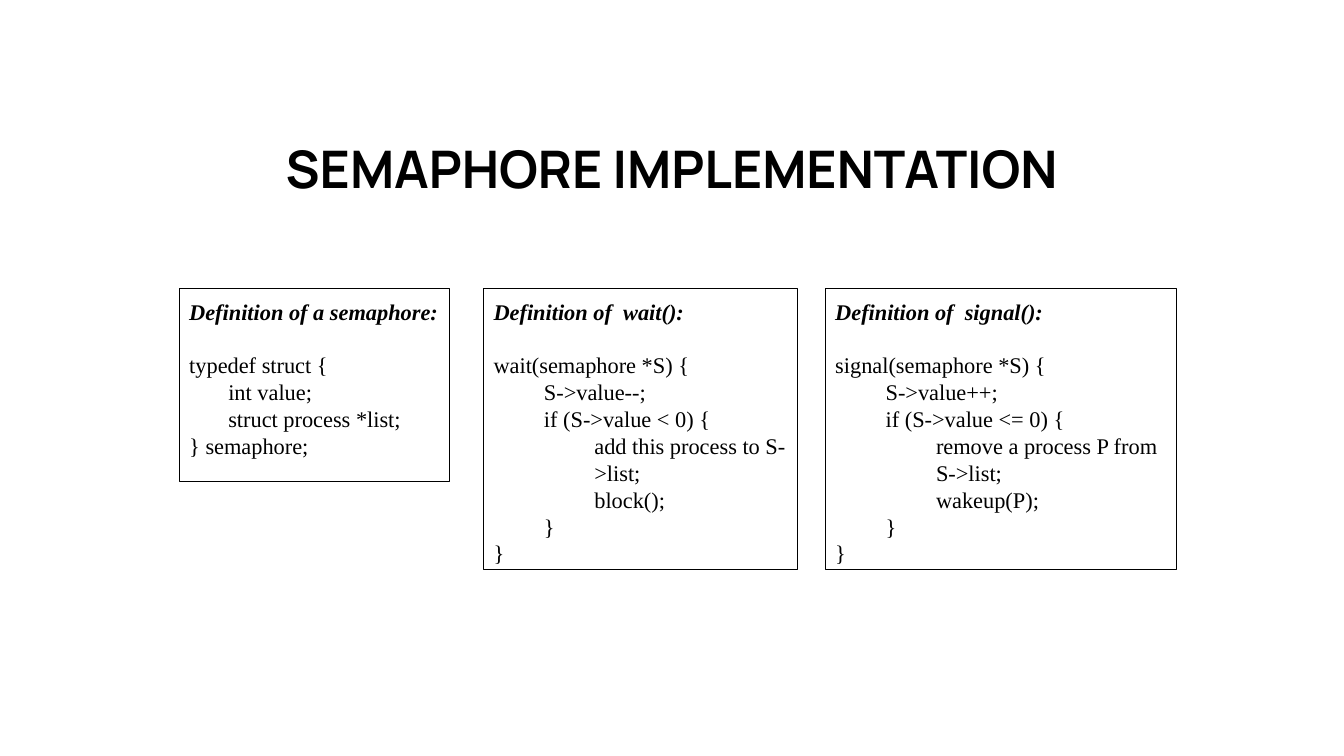
from pptx import Presentation
from pptx.dml.color import RGBColor
from pptx.enum.text import MSO_ANCHOR, MSO_AUTO_SIZE, PP_ALIGN
from pptx.util import Cm, Pt

BLACK, WHITE = "000000", "FFFFFF"
SERIF = "Times New Roman"
INDENT = 1.27

PANELS = [
    (4.52, 6.81, 4.88, "Definition of a semaphore:", [
        (0, "typedef struct {"),
        (0, "       int value;"),
        (0, "       struct process *list;"),
        (0, "} semaphore;"),
    ]),
    (12.19, 7.92, 7.09, "Definition of  wait():", [
        (0, "wait(semaphore *S) {"),
        (1, "S->value--;"),
        (1, "if (S->value < 0) {"),
        (2, "add this process to S->list;"),
        (2, "block();"),
        (1, "}"),
        (0, "}"),
    ]),
    (20.8, 8.86, 7.09, "Definition of  signal():", [
        (0, "signal(semaphore *S) {"),
        (1, "S->value++;"),
        (1, "if (S->value <= 0) {"),
        (2, "remove a process P from S->list;"),
        (2, "wakeup(P);"),
        (1, "}"),
        (0, "}"),
    ]),
]


def color(value):
    return RGBColor.from_string(value)


def set_frame(tf, inset, anchor):
    tf.word_wrap = True
    tf.auto_size = MSO_AUTO_SIZE.NONE
    tf.vertical_anchor = anchor
    tf.margin_left = tf.margin_right = Cm(inset)
    tf.margin_top = tf.margin_bottom = Cm(inset)


def add_text(p, text, font=SERIF, size=16, bold=False, italic=False,
             align=PP_ALIGN.LEFT, level=0, before=0, spacing=None):
    p.alignment = align
    p.space_before = Pt(before)
    if spacing:
        p.line_spacing = spacing
    if level:
        pPr = p._p.get_or_add_pPr()
        pPr.set("marL", str(Cm(level * INDENT)))
        pPr.set("indent", "0")
    r = p.add_run()
    r.text = text
    r.font.name = font
    r.font.size = Pt(size)
    r.font.bold = bold
    r.font.italic = italic
    r.font.color.rgb = color(BLACK)


def add_title(s, left, top, width, height, text):
    sp = s.shapes.title
    sp.left, sp.top, sp.width, sp.height = map(Cm, (left, top, width, height))
    sp.fill.solid()
    sp.fill.fore_color.rgb = color(WHITE)
    set_frame(sp.text_frame, 0.51, MSO_ANCHOR.MIDDLE)
    add_text(sp.text_frame.paragraphs[0], text, font="Manrope", size=37,
             bold=True, align=PP_ALIGN.CENTER, spacing=0.9)


def add_panel(s, left, top, width, height, heading, code):
    sp = s.shapes.add_textbox(*map(Cm, (left, top, width, height)))
    sp.line.color.rgb = color(BLACK)
    sp.line.width = Pt(0.75)
    tf = sp.text_frame
    set_frame(tf, 0.25, MSO_ANCHOR.TOP)
    add_text(tf.paragraphs[0], heading, bold=True, italic=True)
    for i, (level, line) in enumerate(code):
        add_text(tf.add_paragraph(), line, level=level,
                 before=0 if i else 19)


def main():
    prs = Presentation()
    prs.slide_width, prs.slide_height = Cm(33.87), Cm(19.05)
    s = prs.slides.add_slide(prs.slide_layouts[5])
    add_title(s, 6.2, 2.67, 21.46, 3.3, "SEMAPHORE IMPLEMENTATION")
    for left, width, height, heading, code in PANELS:
        add_panel(s, left, 7.26, width, height, heading, code)
    prs.save("out.pptx")


if __name__ == "__main__":
    main()
